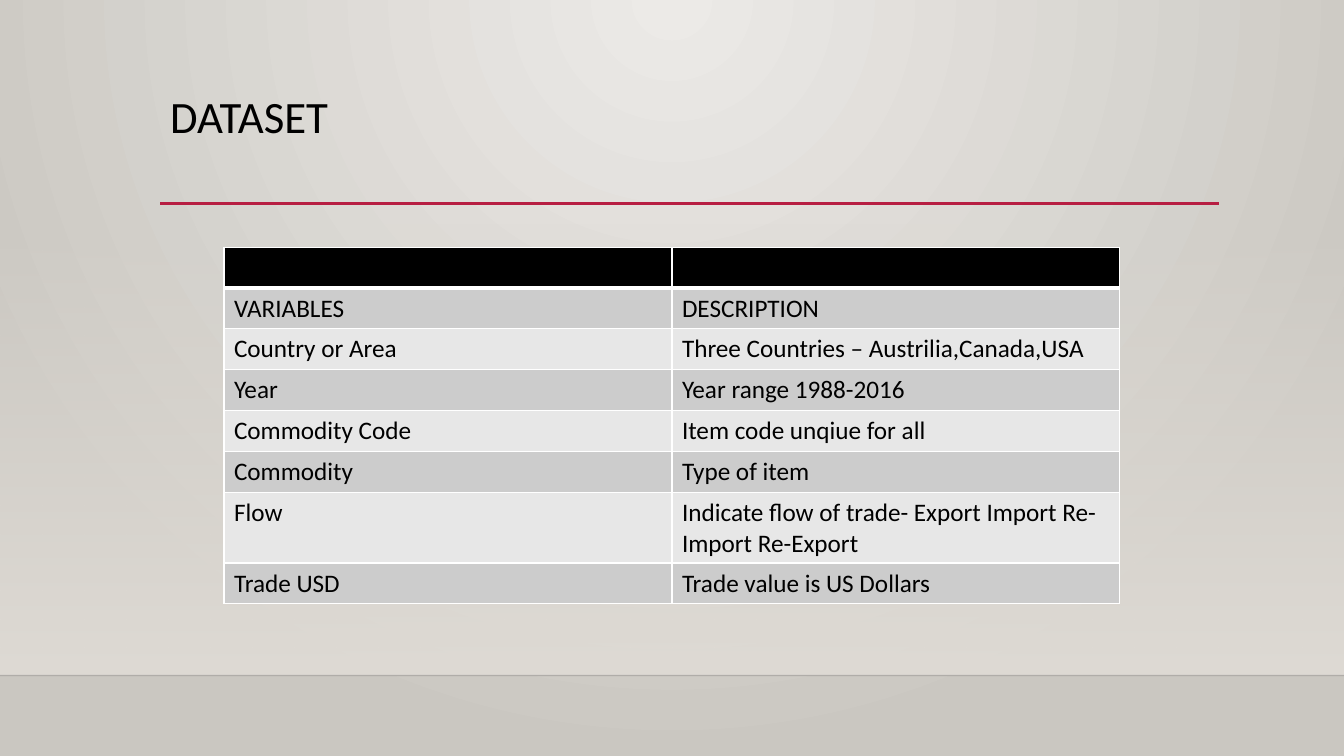
from lxml.etree import SubElement
from pptx import Presentation
from pptx.dml.color import RGBColor
from pptx.enum.shapes import MSO_CONNECTOR, MSO_SHAPE
from pptx.oxml import parse_xml
from pptx.oxml.ns import nsdecls, qn
from pptx.util import Pt

COLORS = {
    "glow": "ECEAE7", "edge": "CAC7C1", "wall": "DFDBD5", "floor_line": "000001",
    "accent": "B71E42", "text": "000000", "header": "000000",
    "dark_band": "CCCCCC", "light_band": "E7E7E7", "border": "FFFFFF",
}
WIDTH, HEIGHT = 960, 540
ROWS = [
    ("", ""),
    ("VARIABLES", "DESCRIPTION"),
    ("Country or Area", "Three Countries – Austrilia,Canada,USA"),
    ("Year", "Year range 1988-2016"),
    ("Commodity Code", "Item code unqiue for all"),
    ("Commodity", "Type of item"),
    ("Flow", "Indicate flow of trade- Export Import Re-Import Re-Export"),
    ("Trade USD", "Trade value is US Dollars"),
]


def gradient(stops, direction):
    """Gradient fill from (position, color name, opacity) stops, in percent."""
    stop_xml = "".join(
        f'<a:gs pos="{position * 1000}"><a:srgbClr val="{COLORS[color]}">'
        f'<a:alpha val="{opacity * 1000}"/></a:srgbClr></a:gs>'
        for position, color, opacity in stops)
    return parse_xml(f'<a:gradFill {nsdecls("a")} rotWithShape="1">'
                     f'<a:gsLst>{stop_xml}</a:gsLst>{direction}</a:gradFill>')


class SlideBuilder:
    def __init__(self, slide, font="Calibri"):
        self.slide = slide
        self.font = font

    def rgb(self, color):
        return RGBColor.from_string(COLORS[color])

    def replace_fill(self, parent, fill):
        parent.replace(parent.find(qn("a:solidFill")), fill)

    def background(self, fill):
        self.slide.background.fill.solid()
        self.replace_fill(self.slide.element.find(".//" + qn("p:bgPr")), fill)

    def rectangle(self, left, top, width, height, fill):
        shape = self.slide.shapes.add_shape(
            MSO_SHAPE.RECTANGLE, Pt(left), Pt(top), Pt(width), Pt(height))
        shape.shadow.inherit = False
        shape.line.fill.background()
        shape.fill.solid()
        self.replace_fill(shape.element.spPr, fill)

    def rule(self, left, right, y, color, weight, opacity=100):
        line = self.slide.shapes.add_connector(
            MSO_CONNECTOR.STRAIGHT, Pt(left), Pt(y), Pt(right), Pt(y))
        line.line.color.rgb = self.rgb(color)
        line.line.width = Pt(weight)
        properties = line.element.spPr
        if opacity < 100:
            SubElement(properties.find(".//" + qn("a:srgbClr")), qn("a:alpha"),
                       val=str(opacity * 1000))
        SubElement(properties, qn("a:effectLst"))

    def set_text(self, text_frame, text, size):
        text_frame.text = text
        for paragraph in text_frame.paragraphs:
            for run in paragraph.runs:
                run.font.name = self.font
                run.font.size = Pt(size)
                run.font.color.rgb = self.rgb("text")

    def title(self, left, top, width, height, text, size):
        box = self.slide.shapes.add_textbox(Pt(left), Pt(top), Pt(width), Pt(height))
        box.text_frame.word_wrap = True
        self.set_text(box.text_frame, text, size)
        box.text_frame.paragraphs[0].line_spacing = 0.9

    def borders(self, cell, weights):
        properties = cell._tc.get_or_add_tcPr()
        for index, (side, weight) in enumerate(weights.items()):
            properties.insert(index, parse_xml(
                f'<a:ln{side} {nsdecls("a")} w="{Pt(weight)}"><a:solidFill>'
                f'<a:srgbClr val="{COLORS["border"]}"/></a:solidFill></a:ln{side}>'))

    def table(self, left, top, width, row_height, rows, size):
        table = self.slide.shapes.add_table(
            len(rows), len(rows[0]), Pt(left), Pt(top),
            Pt(width), Pt(row_height * len(rows))).table
        for row_index, row in enumerate(rows):
            table.rows[row_index].height = Pt(row_height)
            band = "dark_band" if row_index % 2 else "light_band"
            for column_index, text in enumerate(row):
                cell = table.cell(row_index, column_index)
                self.set_text(cell.text_frame, text, size)
                cell.fill.solid()
                cell.fill.fore_color.rgb = self.rgb(band if row_index else "header")
                self.borders(cell, {"L": 1, "R": 1, "T": 3 if row_index == 1 else 1,
                                    "B": 1 if row_index else 3})


presentation = Presentation()
presentation.slide_width, presentation.slide_height = Pt(WIDTH), Pt(HEIGHT)
builder = SlideBuilder(presentation.slides.add_slide(presentation.slide_layouts[6]))

# Backdrop: spotlight, wall and floor edge
builder.background(gradient(
    [(0, "glow", 100), (100, "edge", 100)],
    '<a:path path="circle"><a:fillToRect l="43000" r="43000" b="100000"/></a:path>'))
builder.rectangle(0, 159, WIDTH, 323.5, gradient(
    [(0, "wall", 0), (100, "wall", 100)], '<a:lin ang="5400000" scaled="0"/>'))
builder.rule(0, WIDTH, 482.5, "floor_line", 1, opacity=20)

# Title with accent rule
builder.rule(114.5, 871, 145.3, "accent", 2.5)
builder.title(114.5, 64, 756, 82, "DATASET", 32)

# Variables of the dataset
builder.table(160, 176.5, 640, 29.2, ROWS, 18)

presentation.save("out.pptx")
